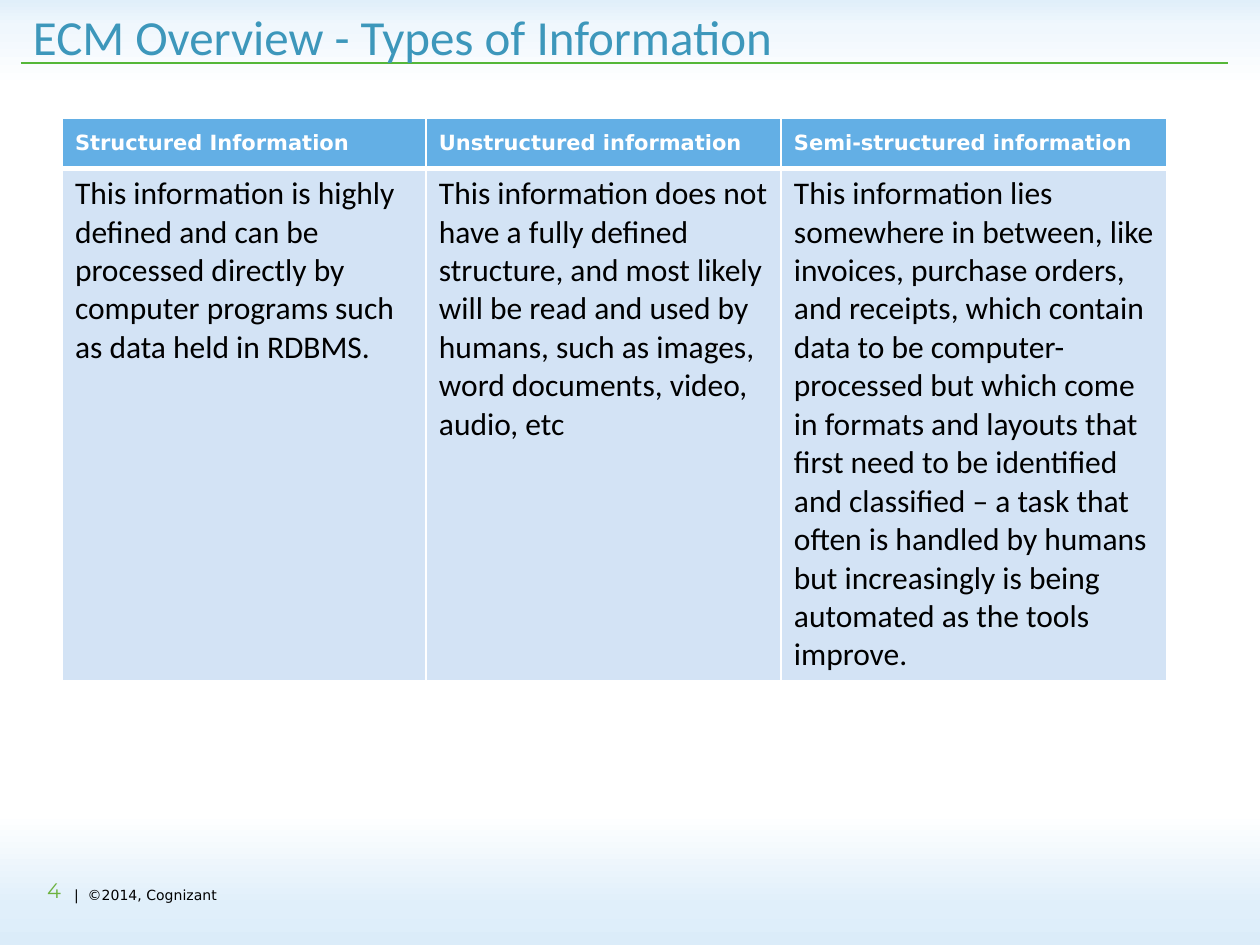
import dataclasses
import typing

import lxml.etree
import pptx
import pptx.dml.color
import pptx.enum.shapes
import pptx.enum.text
import pptx.oxml.ns
import pptx.util

RGB = pptx.dml.color.RGBColor
WHITE = RGB(0xFF, 0xFF, 0xFF)
BLACK = RGB(0x00, 0x00, 0x00)
SKY = RGB(0xE0, 0xEF, 0xFA)
PALE = RGB(0xF0, 0xF7, 0xFD)
TEAL = RGB(0x3D, 0x97, 0xBB)
GREEN = RGB(0x55, 0xB7, 0x38)
LEAF = RGB(0x6D, 0xB2, 0x3F)
HEAD = RGB(0x63, 0xAF, 0xE5)
BODY = RGB(0xD3, 0xE3, 0xF5)

SCALE = 914400 / 126
ALIGN = pptx.enum.text.PP_ALIGN
ANCHOR = pptx.enum.text.MSO_ANCHOR


def px(num: int) -> pptx.util.Emu:
    return pptx.util.Emu(round(num * SCALE))


@dataclasses.dataclass
class Box:
    left: int
    top: int
    width: int
    height: int

    def emu(self) -> list:
        return [px(num) for num in dataclasses.astuple(self)]


@dataclasses.dataclass
class Style:
    name: str
    size: int
    color: RGB
    bold: bool = False
    align: ALIGN = ALIGN.LEFT


@dataclasses.dataclass
class Band:
    box: Box
    angle: int
    stops: dict


@dataclasses.dataclass
class Label:
    text: str
    box: Box
    pad: int
    style: Style


@dataclasses.dataclass
class Row:
    height: int
    pad: int
    fill: RGB
    anchor: ANCHOR
    style: Style
    edges: dict
    texts: list


TITLE = Label("ECM Overview - Types of Information", Box(21, 0, 1187, 136), 6,
              Style("Calibri", 28, TEAL))
BANDS = [
    Band(Box(0, 0, 1260, 105), 90, {0: SKY, 25: PALE, 84: WHITE}),
    Band(Box(0, 788, 1260, 157), 270, {0: RGB(0xDB, 0xEC, 0xF9), 25: SKY, 84: WHITE}),
]
LABELS = [
    Label("|  ©2014, Cognizant", Box(74, 887, 400, 17), 0,
          Style("DejaVu Sans", 8, BLACK)),
    Label("4", Box(10, 872, 63, 63), 6,
          Style("Montserrat", 12, LEAF, align=ALIGN.RIGHT)),
]
GRID = Box(62, 118, 1105, 562)
COLS = [364, 355, 386]
ROWS = [
    Row(50, 13, HEAD, ANCHOR.MIDDLE, Style("DejaVu Sans", 12, WHITE, True),
        {"lnL": 1, "lnR": 1, "lnT": 1, "lnB": 3},
        ["Structured Information", "Unstructured information",
         "Semi-structured information"]),
    Row(512, 6, BODY, ANCHOR.TOP, Style("Calibri", 18, BLACK),
        {"lnL": 1, "lnR": 1, "lnT": 3, "lnB": 1},
        ["This information is highly defined and can be processed directly by "
         "computer programs such as data held in RDBMS.",
         "This information does not have a fully defined structure, and most "
         "likely will be read and used by humans, such as images, word "
         "documents, video, audio, etc",
         "This information lies somewhere in between, like invoices, purchase "
         "orders, and receipts, which contain data to be computer-processed but "
         "which come in formats and layouts that first need to be identified "
         "and classified – a task that often is handled by humans but "
         "increasingly is being automated as the tools improve."]),
]


def apply(item: typing.Any, values: dict) -> None:
    for key, value in values.items():
        setattr(item, key, value)


def sub(node: typing.Any, tag: str, **attrs: str) -> typing.Any:
    return lxml.etree.SubElement(node, pptx.oxml.ns.qn(tag), attrs)


def write(frame: typing.Any, text: str, style: Style) -> None:
    para = frame.paragraphs[0]
    para.alignment = style.align
    run = para.add_run()
    run.text = text
    apply(run.font, {"name": style.name, "size": pptx.util.Pt(style.size),
                     "bold": style.bold})
    run.font.color.rgb = style.color


def fit(shape: typing.Any, label: Label) -> None:
    apply(shape, dict(zip(("left", "top", "width", "height"), label.box.emu())))
    side, edge = px(label.pad * 2), px(label.pad)
    apply(shape.text_frame, {
        "word_wrap": True, "auto_size": pptx.enum.text.MSO_AUTO_SIZE.NONE,
        "vertical_anchor": ANCHOR.TOP, "margin_left": side,
        "margin_right": side, "margin_top": edge, "margin_bottom": edge})
    write(shape.text_frame, label.text, label.style)


def draw_band(shapes: typing.Any, band: Band) -> None:
    kind = pptx.enum.shapes.MSO_SHAPE.RECTANGLE
    shape = shapes.add_shape(kind, *band.box.emu())
    shape.shadow.inherit = False
    shape.line.fill.background()
    shape.fill.gradient()
    grad = shape._element.spPr.find(pptx.oxml.ns.qn("a:gradFill"))
    for node in list(grad):
        grad.remove(node)
    stops = sub(grad, "a:gsLst")
    for place, color in band.stops.items():
        stop = sub(stops, "a:gs", pos=str(place * 1000))
        sub(stop, "a:srgbClr", val=str(color))
    sub(grad, "a:lin", ang=str(band.angle * 60000), scaled="0")


def draw_rule(shapes: typing.Any) -> None:
    kind = pptx.enum.shapes.MSO_CONNECTOR.STRAIGHT
    rule = shapes.add_connector(kind, px(21), px(63), px(1228), px(63))
    rule.line.color.rgb = GREEN
    rule.line.width = pptx.util.Pt(0.75)
    sub(rule._element.spPr, "a:effectLst")


def draw_cell(cell: typing.Any, row: Row, text: str) -> None:
    edge = px(row.pad)
    apply(cell, {"vertical_anchor": row.anchor, "margin_left": px(13),
                 "margin_right": px(13), "margin_top": edge,
                 "margin_bottom": edge})
    write(cell.text_frame, text, row.style)
    props = cell._tc.get_or_add_tcPr()
    for tag, width in row.edges.items():
        line = sub(props, "a:" + tag, w=str(pptx.util.Pt(width)))
        sub(sub(line, "a:solidFill"), "a:srgbClr", val=str(WHITE))
    cell.fill.solid()
    cell.fill.fore_color.rgb = row.fill


def draw_table(shapes: typing.Any) -> None:
    table = shapes.add_table(len(ROWS), len(COLS), *GRID.emu()).table
    for col, width in zip(table.columns, COLS):
        col.width = px(width)
    for r, row in enumerate(ROWS):
        table.rows[r].height = px(row.height)
        for c, text in enumerate(row.texts):
            draw_cell(table.cell(r, c), row, text)


def main() -> None:
    deck = pptx.Presentation()
    apply(deck, {"slide_width": px(1260), "slide_height": px(945)})
    slide = deck.slides.add_slide(deck.slide_layouts[5])
    shapes = slide.shapes
    for band in BANDS:
        draw_band(shapes, band)
    draw_rule(shapes)
    title = shapes.title
    fit(title, TITLE)
    shapes._spTree.append(title._element)
    for label in LABELS:
        fit(shapes.add_textbox(*label.box.emu()), label)
    draw_table(shapes)
    deck.save("out.pptx")


if __name__ == "__main__":
    main()
